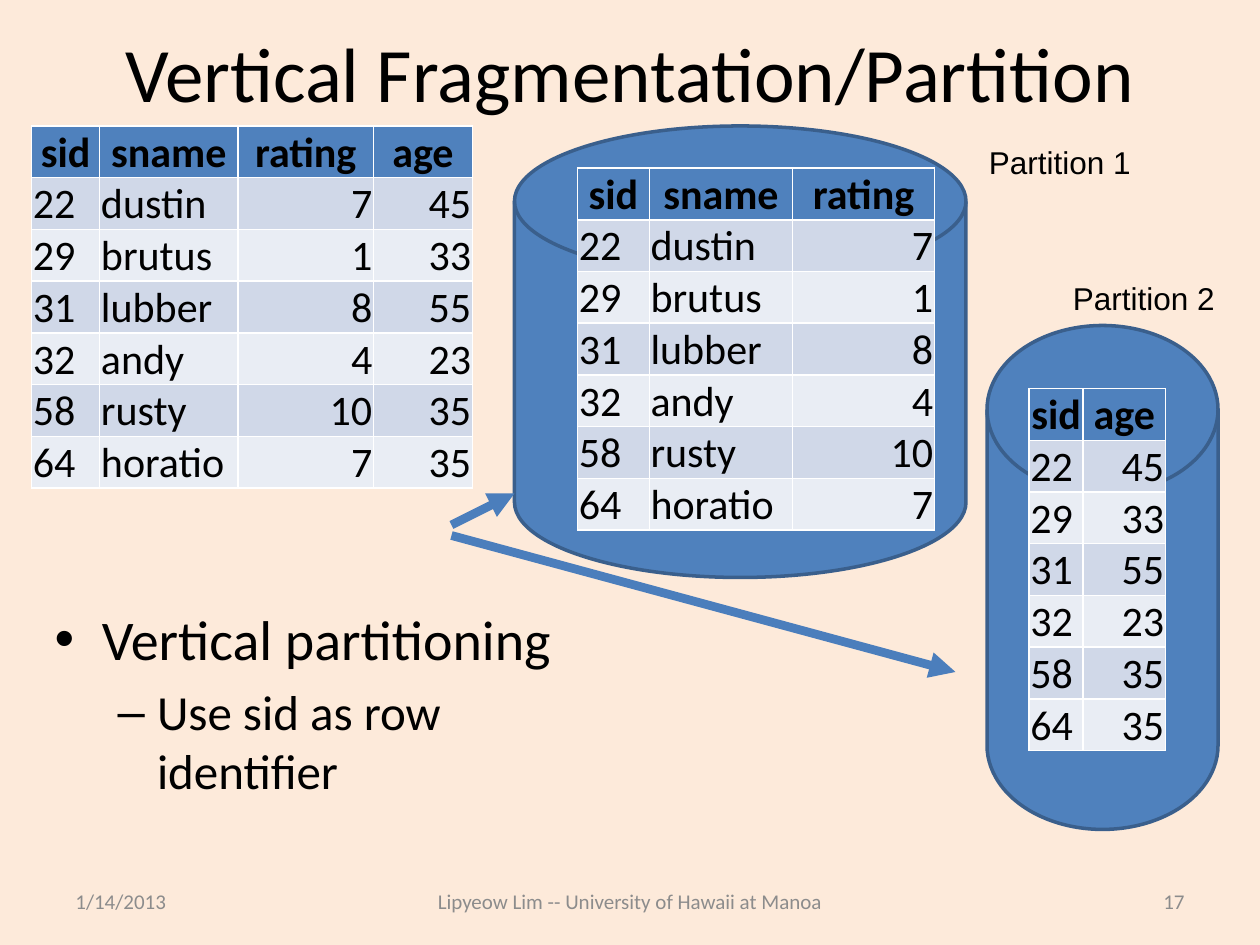
"""Build the slide on vertical fragmentation of a table into two partitions."""
from pptx import Presentation
from pptx.dml.color import RGBColor
from pptx.enum.shapes import MSO_CONNECTOR, MSO_SHAPE
from pptx.enum.text import MSO_ANCHOR, PP_ALIGN
from pptx.oxml.ns import qn
from pptx.util import Pt
from lxml.etree import SubElement

BACK = RGBColor(0xFD, 0xEA, 0xDA)
BLUE = RGBColor(0x4F, 0x81, 0xBD)
EDGE = RGBColor(0x3A, 0x5F, 0x8C)
ARROW = RGBColor(0x4B, 0x7E, 0xBC)
BANDS = [RGBColor(0xE9, 0xED, 0xF4), RGBColor(0xD0, 0xD8, 0xE8)]
BLACK = RGBColor(0, 0, 0)
GRAY = RGBColor(0x8C, 0x8C, 0x8C)

LEFT, MID, RIGHT = PP_ALIGN.LEFT, PP_ALIGN.CENTER, PP_ALIGN.RIGHT
HEADS = ["sid", "sname", "rating", "age"]
ALIGNS = [LEFT, LEFT, RIGHT, RIGHT]
SAILORS = [
    ["22", "dustin", "7", "45"],
    ["29", "brutus", "1", "33"],
    ["31", "lubber", "8", "55"],
    ["32", "andy", "4", "23"],
    ["58", "rusty", "10", "35"],
    ["64", "horatio", "7", "35"],
]


def style(para, size, color=BLACK, name="Calibri", bold=False):
    for run in para.runs:
        font = run.font
        font.size, font.name, font.bold = Pt(size), name, bold
        font.color.rgb = color


def place(shape, left, top, width, height):
    shape.left, shape.top = Pt(left), Pt(top)
    shape.width, shape.height = Pt(width), Pt(height)


deck = Presentation()
deck.slide_width, deck.slide_height = Pt(720), Pt(540)
slide = deck.slides.add_slide(deck.slide_layouts[1])
slide.background.fill.solid()
slide.background.fill.fore_color.rgb = BACK
shapes = slide.shapes

title = shapes.title
place(title, 36, 21.5, 648, 38.5)
title.text_frame.text = "Vertical Fragmentation/Partition"
title.text_frame.vertical_anchor = MSO_ANCHOR.MIDDLE
title.text_frame.paragraphs[0].alignment = MID
style(title.text_frame.paragraphs[0], 44)

body = slide.placeholders[1]
place(body, 24, 342, 300, 140)
body.text_frame.text = "Vertical partitioning\nUse sid as row identifier"
for level, para in enumerate(body.text_frame.paragraphs):
    para.level = level
    style(para, 32 - 4 * level)

for box in [(564, 186, 132, 288), (294, 72, 258, 258)]:
    disk = shapes.add_shape(MSO_SHAPE.FLOWCHART_MAGNETIC_DISK, *map(Pt, box))
    disk.shadow.inherit = False
    disk.fill.solid()
    disk.fill.fore_color.rgb = BLUE
    disk.line.color.rgb = EDGE
    disk.line.width = Pt(2)

for text, left, top in [("Partition 1", 558, 78), ("Partition 2", 606, 156)]:
    label = shapes.add_textbox(Pt(left), Pt(top), Pt(96.5), Pt(29))
    label.text_frame.word_wrap = False
    label.text_frame.text = text
    style(label.text_frame.paragraphs[0], 18, name="Arial")

for text, left, width, align in [
    ("1/14/2013", 36, 168, LEFT),
    ("Lipyeow Lim -- University of Hawaii at Manoa", 216, 288, MID),
    ("17", 516, 168, RIGHT),
]:
    foot = shapes.add_textbox(Pt(left), Pt(500.5), Pt(width), Pt(28.75)).text_frame
    foot.word_wrap = True
    foot.vertical_anchor = MSO_ANCHOR.MIDDLE
    foot.text = text
    foot.paragraphs[0].alignment = align
    style(foot.paragraphs[0], 12, GRAY)

for left, top, picks, widths in [
    (18, 72, [0, 1, 2, 3], [39, 79, 77.5, 56.5]),
    (588, 222, [0, 3], [31, 47]),
    (330, 96, [0, 1, 2], [41, 82, 81]),
]:
    frame = shapes.add_table(len(SAILORS) + 1, len(picks), Pt(left), Pt(top),
                             Pt(sum(widths)), Pt(206))
    grid = frame.table
    for col, width in zip(grid.columns, widths):
        col.width = Pt(width)
    for r, record in enumerate([HEADS] + SAILORS):
        grid.rows[r].height = Pt(29.4)
        for c, pick in enumerate(picks):
            cell = grid.cell(r, c)
            cell.margin_left = cell.margin_right = cell.margin_top = Pt(0.75)
            cell.margin_bottom = Pt(0)
            cell.vertical_anchor = MSO_ANCHOR.BOTTOM
            cell.fill.solid()
            cell.fill.fore_color.rgb = BANDS[r % 2] if r else BLUE
            cell.text_frame.text = record[pick]
            para = cell.text_frame.paragraphs[0]
            para.alignment = ALIGNS[pick] if r else MID
            style(para, 24, bold=r == 0)

for ends in [(258, 300, 294, 282), (258, 306, 546, 384)]:
    arrow = shapes.add_connector(MSO_CONNECTOR.STRAIGHT, *map(Pt, ends))
    arrow.line.color.rgb = ARROW
    arrow.line.width = Pt(5)
    SubElement(arrow.line._get_or_add_ln(), qn("a:tailEnd"), type="triangle")
    SubElement(arrow._element.spPr, qn("a:effectLst"))

deck.save("out.pptx")
